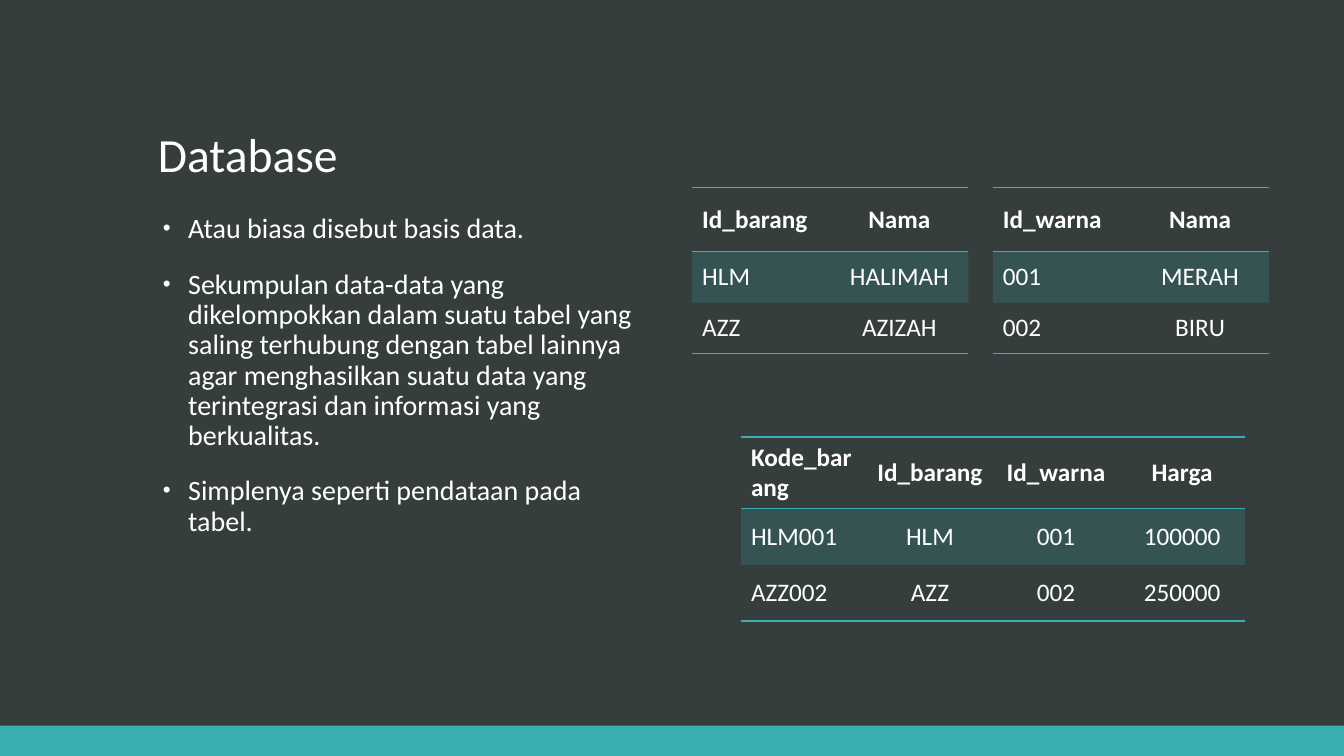
import pptx
import pptx.util
import pptx.dml.color
import pptx.enum.text
import pptx.enum.shapes
import pptx.oxml
import pptx.oxml.ns

RGB = pptx.dml.color.RGBColor
ALIGN = pptx.enum.text.PP_ALIGN
ANCHOR = pptx.enum.text.MSO_ANCHOR
qn = pptx.oxml.ns.qn
NS = pptx.oxml.ns.nsdecls("a")

DARK = RGB(0x36, 0x3D, 0x3D)
TEAL = RGB(0x3A, 0xAF, 0xB2)
WHITE = RGB(0xFF, 0xFF, 0xFF)
FONT = "Calibri"
NO_STYLE = "{2D5ABB26-0587-4C30-8999-92F81FD0307C}"
W = pptx.util.Inches(13.333)
H = pptx.util.Inches(7.5)
LEFT = 11.0


def across(share):
    return round(W * share / 100)


def down(share):
    return round(H * share / 100)


def box(x, y, w, h):
    return across(x), down(y), across(w), down(h)


def place(sp, x, y, w, h):
    sp.left, sp.top, sp.width, sp.height = box(x, y, w, h)


def write(p, text, size=18, bold=False, align=ALIGN.LEFT, spacing=1.0, before=0):
    p.alignment = align
    p.line_spacing = spacing
    p.space_before = pptx.util.Pt(before)
    r = p.add_run()
    r.text = text
    r.font.name = FONT
    r.font.size = pptx.util.Pt(size)
    r.font.bold = bold
    r.font.color.rgb = WHITE


def add_bullet(p):
    pPr = p._p.get_or_add_pPr()
    pPr.set("marL", str(pptx.util.Inches(0.3)))
    pPr.set("indent", str(pptx.util.Inches(-0.25)))
    for xml in (f'<a:buSzPct {NS} val="80000"/>',
                f'<a:buFont {NS} typeface="Arial"/>',
                f'<a:buChar {NS} char="•"/>'):
        pPr.append(pptx.oxml.parse_xml(xml))


def add_title(s, text):
    sp = s.shapes.title
    place(sp, LEFT, 6.8, 78, 18)
    tf = sp.text_frame
    tf.vertical_anchor = ANCHOR.BOTTOM
    tf.auto_size = pptx.enum.text.MSO_AUTO_SIZE.NONE
    write(tf.paragraphs[0], text, size=34, spacing=0.9)


def add_list(s, items):
    sp = s.placeholders[1]
    place(sp, LEFT, 27.73, 37.5, 60.13)
    tf = sp.text_frame
    tf.auto_size = pptx.enum.text.MSO_AUTO_SIZE.NONE
    for i, item in enumerate(items):
        p = tf.add_paragraph() if i else tf.paragraphs[0]
        write(p, item, size=20, spacing=0.9, before=18)
        add_bullet(p)


def add_bar(s):
    sp = s.shapes.add_shape(pptx.enum.shapes.MSO_SHAPE.RECTANGLE, *box(0, 96, 100, 4))
    sp.shadow.inherit = False
    sp.fill.solid()
    sp.fill.fore_color.rgb = TEAL
    sp.line.fill.background()


def add_border(tcPr, side, visible):
    paint = (f'<a:solidFill><a:srgbClr val="{TEAL}"/></a:solidFill>'
             if visible else '<a:noFill/>')
    tcPr.append(pptx.oxml.parse_xml(
        f'<a:{side} {NS} w="{pptx.util.Pt(1)}">{paint}</a:{side}>'))


def format_cell(cell, row):
    cell.vertical_anchor = ANCHOR.MIDDLE
    tcPr = cell._tc.get_or_add_tcPr()
    add_border(tcPr, "lnT", row != 2)
    add_border(tcPr, "lnB", row != 1)
    if row == 1:
        cell.fill.solid()
        cell.fill.fore_color.rgb = TEAL
        color = tcPr.find(qn("a:solidFill")).find(qn("a:srgbClr"))
        color.append(pptx.oxml.parse_xml(f'<a:alpha {NS} val="20000"/>'))
    else:
        cell.fill.background()


def add_data_table(s, x, y, col, heights, rows):
    n = len(rows[0])
    frame = s.shapes.add_table(len(rows), n, *box(x, y, col * n, sum(heights)))
    table = frame.table
    table.horz_banding = False
    table._tbl.tblPr.find(qn("a:tableStyleId")).text = NO_STYLE
    for column in table.columns:
        column.width = across(col)
    for i, (height, values) in enumerate(zip(heights, rows)):
        table.rows[i].height = down(height)
        for j, value in enumerate(values):
            cell = table.cell(i, j)
            write(cell.text_frame.paragraphs[0], value, bold=i == 0,
                  align=ALIGN.CENTER if j else ALIGN.LEFT)
            format_cell(cell, i)


def main():
    prs = pptx.Presentation()
    prs.slide_width, prs.slide_height = W, H
    s = prs.slides.add_slide(prs.slide_layouts[1])
    s.background.fill.solid()
    s.background.fill.fore_color.rgb = DARK
    add_bar(s)
    add_title(s, "Database")
    add_list(s, [
        "Atau biasa disebut basis data.",
        "Sekumpulan data-data yang dikelompokkan dalam suatu tabel yang saling "
        "terhubung dengan tabel lainnya agar menghasilkan suatu data yang "
        "terintegrasi dan informasi yang berkualitas.",
        "Simplenya seperti pendataan pada tabel.",
    ])
    items = [("Id_barang", "Nama"), ("HLM", "HALIMAH"), ("AZZ", "AZIZAH")]
    colors = [("Id_warna", "Nama"), ("001", "MERAH"), ("002", "BIRU")]
    prices = [("Kode_barang", "Id_barang", "Id_warna", "Harga"),
              ("HLM001", "HLM", "001", "100000"),
              ("AZZ002", "AZZ", "002", "250000")]
    for x, rows in ((51.5, items), (73.87, colors)):
        add_data_table(s, x, 24.8, 10.28, (8.5, 6.75, 6.75), rows)
    add_data_table(s, 55.13, 57.8, 9.38, (9.47, 7.43, 7.43), prices)
    prs.save("out.pptx")


main()
